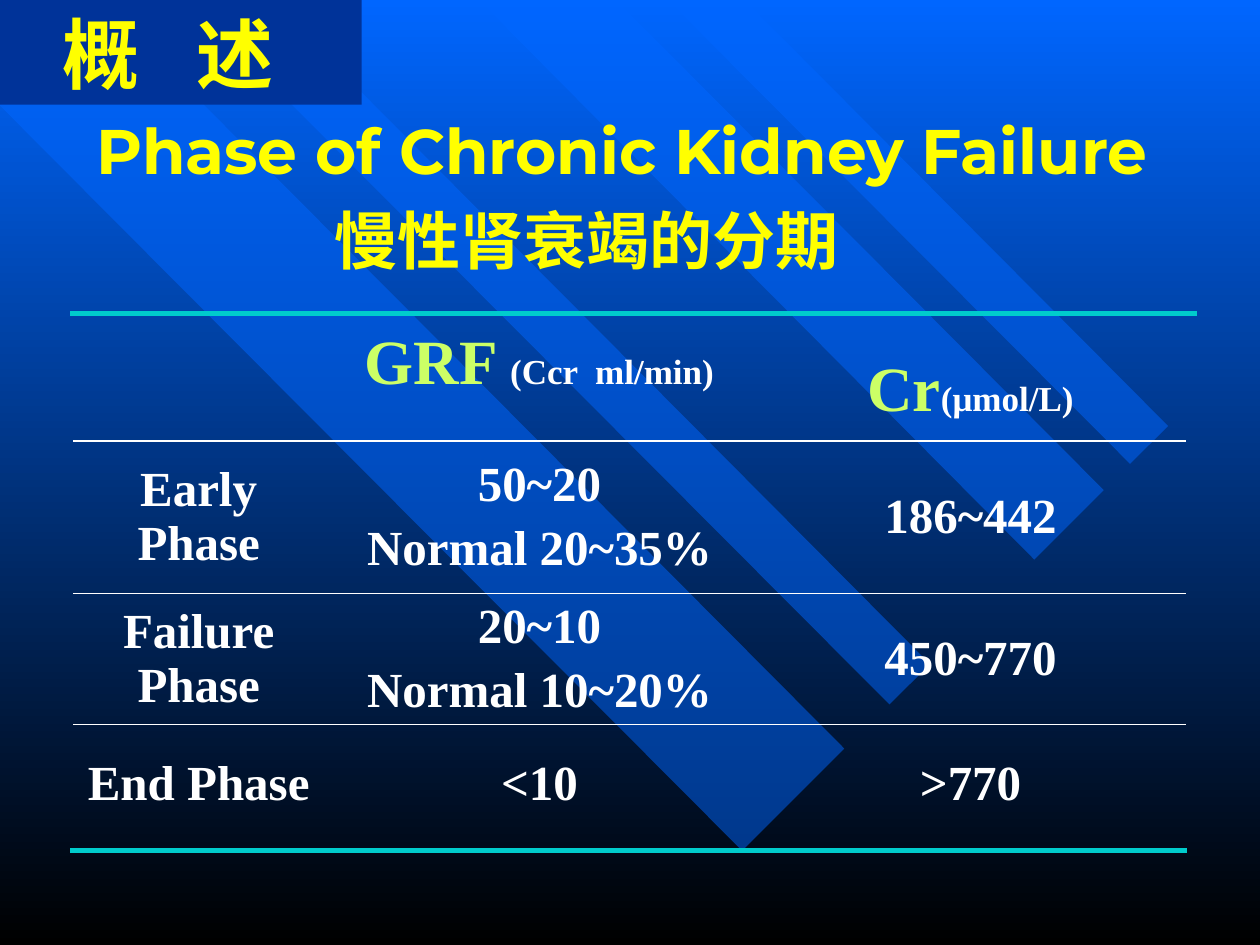
from lxml.etree import SubElement
from pptx import Presentation
from pptx.dml.color import RGBColor
from pptx.enum.shapes import MSO_CONNECTOR, MSO_SHAPE
from pptx.enum.text import MSO_ANCHOR, PP_ALIGN
from pptx.oxml.ns import qn
from pptx.util import Cm, Pt

HUE = {"blue": "0066FF", "black": "000000", "navy": "003399", "yellow": "FFFF00",
       "lime": "CCFF66", "white": "FFFFFF", "teal": "00CCCC"}
SERIF = "Times New Roman"

# Content: a cell is a list of paragraphs, a paragraph a list of runs
TITLE = "Phase of Chronic Kidney Failure"
SUB = "慢性肾衰竭的分期"
TOPIC = [("概", 0), (" ", 22), ("述", 0)]  # text, letter spacing


def plain(*lines):
    return [[(line, 28, "white")] for line in lines]


ROWS = [
    [[],
     [[("GRF", 36, "lime"), (" ", 28, "white"), ("(Ccr  ml/min)", 20, "white")]],
     [[("Cr", 36, "lime"), ("(μmol/L)", 20, "white")]]],
    [plain("Early Phase"), plain("50~20", "Normal 20~35%"), plain("186~442")],
    [plain("Failure Phase"), plain("20~10", "Normal 10~20%"), plain("450~770")],
    [plain("End Phase"), plain("<10"), plain(">770")],
]
WIDTHS = [5.05, 8.69, 8.69]
HEIGHTS = [3.12, 3.07, 2.64, 2.39]
BANDS = [
    [(17.02, 15.09), (2.01, 0), (0, 0), (0, 2.13), (14.96, 17.15)],
    [(5.44, 0), (18.75, 13.39), (17.93, 14.2), (3.78, 0)],
    [(12.42, 0), (22.25, 9.88), (20.85, 11.28), (9.65, 0)],
    [(13.46, 0), (22.78, 9.35), (23.55, 8.59), (15.01, 0)],
]
RULES = [(1.42, 24.13, 6.32), (1.42, 23.93, 17.15)]  # left, right, y


def tint(name):
    return RGBColor.from_string(HUE[name])


def add_run(para, text, size, hue, face=SERIF):
    run = para.add_run()
    run.text = text
    font = run.font
    font.size, font.bold, font.name = Pt(size), True, face
    font.color.rgb = tint(hue)
    return run


def set_edge(cell, side, hue=None):
    line = SubElement(cell._tc.get_or_add_tcPr(), qn("a:" + side), w=str(Pt(1)))
    if hue:
        fill = SubElement(line, qn("a:solidFill"))
        SubElement(fill, qn("a:srgbClr"), val=HUE[hue])
    else:
        SubElement(line, qn("a:noFill"))


def fill_cell(cell, paras):
    cell.vertical_anchor = MSO_ANCHOR.MIDDLE
    frame = cell.text_frame
    for i, runs in enumerate(paras):
        para = frame.add_paragraph() if i else frame.paragraphs[0]
        para.alignment = PP_ALIGN.CENTER
        if i:
            para.space_before = Pt(5.6)
        for run in runs:
            add_run(para, *run)


deck = Presentation()
deck.slide_width, deck.slide_height = Cm(25.4), Cm(19.05)
slide = deck.slides.add_slide(deck.slide_layouts[5])
shapes = slide.shapes

# Background gradient, top to bottom
back = slide.background.fill
back.gradient()
back.gradient_angle = 270
for stop, (hue, place) in zip(back.gradient_stops, [("blue", 0), ("black", 1)]):
    stop.color.rgb, stop.position = tint(hue), place

# Slanted translucent bands
for band in BANDS:
    start, *rest = [(Cm(x), Cm(y)) for x, y in band]
    path = shapes.build_freeform(*start)
    path.add_line_segments(rest, close=True)
    shape = path.convert_to_shape()
    shape.shadow.inherit = False
    shape.line.fill.background()
    shape.fill.solid()
    shape.fill.fore_color.rgb = tint("blue")
    color = shape.fill._xPr.find(".//" + qn("a:srgbClr"))
    SubElement(color, qn("a:alpha"), val="50000")

# Title, brought in front of the bands
title = shapes.title
title._element.getparent().append(title._element)
title.left, title.top, title.width, title.height = Cm(0.89), Cm(1.73), Cm(23.29), Cm(2.54)
title.text_frame.vertical_anchor = MSO_ANCHOR.MIDDLE
head = title.text_frame.paragraphs[0]
head.alignment = PP_ALIGN.CENTER
add_run(head, TITLE, 36, "yellow", "Montserrat")

# Table with white rules between rows
table = shapes.add_table(len(ROWS), len(WIDTHS), Cm(1.48), Cm(5.77),
                         Cm(sum(WIDTHS)), Cm(sum(HEIGHTS))).table
table.first_row = table.horz_banding = False
for col, width in zip(table.columns, WIDTHS):
    col.width = Cm(width)
last = len(ROWS) - 1
for r, row in enumerate(ROWS):
    table.rows[r].height = Cm(HEIGHTS[r])
    for c, paras in enumerate(row):
        cell = table.cell(r, c)
        fill_cell(cell, paras)
        set_edge(cell, "lnL")
        set_edge(cell, "lnR")
        set_edge(cell, "lnT", "white" if r else None)
        set_edge(cell, "lnB", "white" if r < last else None)
        cell.fill.background()
table.cell(0, 2).margin_top = Cm(1.2)

# Teal rules above and below the table
for left, right, y in RULES:
    rule = shapes.add_connector(MSO_CONNECTOR.STRAIGHT, Cm(left), Cm(y), Cm(right), Cm(y))
    rule.line.color.rgb, rule.line.width = tint("teal"), Pt(3)
    SubElement(rule._element.spPr, qn("a:effectLst"))

# Subtitle
sub = shapes.add_textbox(Cm(6.5), Cm(3.94), Cm(11.4), Cm(1.78)).text_frame
sub.word_wrap = True
add_run(sub.paragraphs[0], SUB, 36, "yellow")

# Topic box in the corner
box = shapes.add_shape(MSO_SHAPE.RECTANGLE, 0, 0, Cm(7.29), Cm(2.11))
box.shadow.inherit = False
box.fill.solid()
box.fill.fore_color.rgb = tint("navy")
box.line.fill.background()
frame = box.text_frame
frame.vertical_anchor = MSO_ANCHOR.MIDDLE
frame.margin_left = Cm(1.27)
topic = frame.paragraphs[0]
topic.alignment = PP_ALIGN.LEFT
for text, gap in TOPIC:
    run = add_run(topic, text, 44, "yellow")
    if gap:
        run._r.get_or_add_rPr().set("spc", str(gap * 100))

deck.save("out.pptx")
